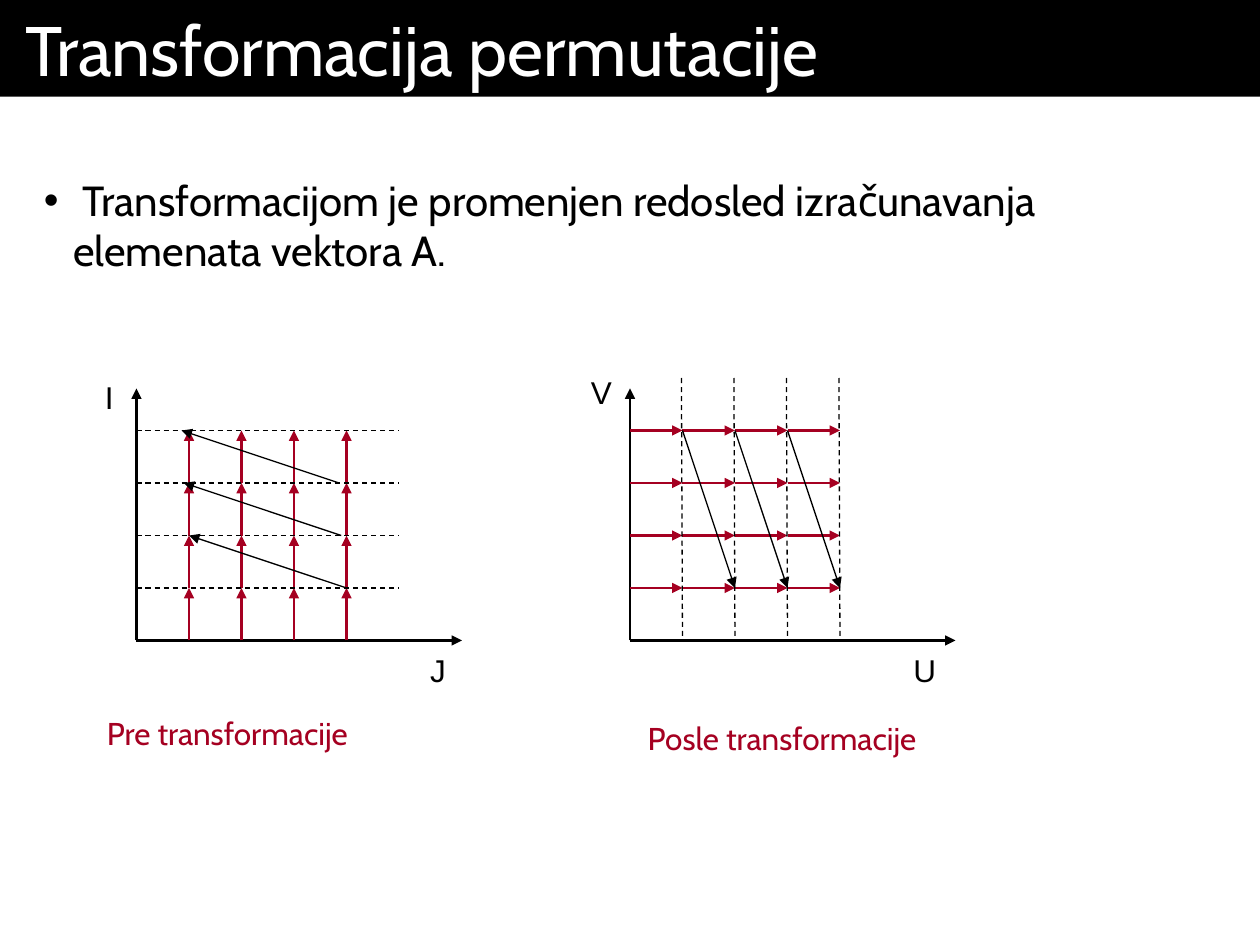
from lxml.etree import SubElement
from pptx import Presentation
from pptx.dml.color import RGBColor as RGB
from pptx.enum.dml import MSO_LINE
from pptx.enum.shapes import MSO_CONNECTOR as CONN, MSO_SHAPE as SHAPE
from pptx.enum.text import MSO_ANCHOR as ANCHOR, MSO_AUTO_SIZE as AUTO, PP_ALIGN as ALIGN
from pptx.oxml.ns import qn
from pptx.util import Emu, Pt

PX = 7620
COLORS = {"black": "000000", "white": "FFFFFF", "red": "A50021"}
STEP, COUNT = 50, 4
BASE = 610


def px(n):
    return Emu(n * PX)


def rgb(name):
    return RGB.from_string(COLORS[name])


class Builder:
    def __init__(self, slide, font="Cabin"):
        self.slide = slide
        self.font = font

    def style_text(self, sp, text, size, color, font=None, anchor=ANCHOR.BOTTOM, wrap=True):
        tf = sp.text_frame
        tf.text = text
        tf.word_wrap = wrap
        tf.auto_size = AUTO.SHAPE_TO_FIT_TEXT
        tf.vertical_anchor = anchor
        p = tf.paragraphs[0]
        p.alignment = ALIGN.LEFT
        f = p.runs[0].font
        f.size, f.name = Pt(size), font or self.font
        f.color.rgb = rgb(color)
        return p

    def title(self, text, x, y, w, h):
        sp = self.slide.shapes.add_shape(SHAPE.RECTANGLE, px(x), px(y), px(w), px(h))
        sp.shadow.inherit = False
        sp.fill.solid()
        sp.fill.fore_color.rgb = rgb("black")
        sp.line.fill.background()
        self.style_text(sp, text, 40, "white", anchor=ANCHOR.TOP)
        sp.text_frame.margin_left = sp.text_frame.margin_right = px(24)

    def text(self, text, x, y, w, h, size=18, color="black", font=None, wrap=False):
        sp = self.slide.shapes.add_textbox(px(x), px(y), px(w), px(h))
        return self.style_text(sp, text, size, color, font, wrap=wrap)

    def bullet(self, text, x, y, w, h, indent):
        p = self.text(text, x, y, w, h, size=24, wrap=True)
        pPr = p._p.get_or_add_pPr()
        pPr.set("marL", str(px(indent)))
        pPr.set("indent", str(-px(indent)))
        SubElement(pPr, qn("a:buFont"), typeface="Arial")
        SubElement(pPr, qn("a:buChar"), char="•")

    def line(self, x1, y1, x2, y2, color="black", width=0.75, dash=False):
        c = self.slide.shapes.add_connector(CONN.STRAIGHT, px(x1), px(y1), px(x2), px(y2))
        c.line.color.rgb = rgb(color)
        c.line.width = Pt(width)
        if dash:
            c.line.dash_style = MSO_LINE.DASH
        SubElement(c._element.spPr, qn("a:effectLst"))
        return c

    def arrow(self, x1, y1, x2, y2, color="black", width=1.5):
        c = self.line(x1, y1, x2, y2, color, width)
        SubElement(c._element.spPr.find(qn("a:ln")), qn("a:tailEnd"), type="triangle")

    def axes(self, x):
        self.arrow(x, BASE, x, 370)
        self.arrow(x, BASE, x + 310, BASE)


def before(b, x):
    b.axes(x)
    for col in range(1, COUNT + 1):
        for row in range(COUNT):
            y = BASE - row * STEP
            b.arrow(x + col * STEP, y, x + col * STEP, y - STEP, "red")
    for row in range(1, COUNT + 1):
        y = BASE - row * STEP
        b.line(x, y, x + 250, y, dash=True)
    for row, shift in enumerate((0, 5, 7), 1):
        y = BASE - row * STEP
        b.arrow(x + COUNT * STEP - shift, y, x + STEP - shift, y - STEP, width=0.75)


def after(b, x):
    b.axes(x)
    for row in range(1, COUNT + 1):
        y = BASE - row * STEP
        for col in range(COUNT):
            b.arrow(x + col * STEP, y, x + (col + 1) * STEP, y, "red")
    for col in range(1, COUNT + 1):
        b.line(x + col * STEP - 1, 360, x + col * STEP, BASE, dash=True)
    for col in range(1, COUNT):
        b.arrow(x + col * STEP, BASE - COUNT * STEP,
                x + (col + 1) * STEP, BASE - STEP, width=0.75)


def main():
    prs = Presentation()
    prs.slide_width, prs.slide_height = px(1200), px(900)
    b = Builder(prs.slides.add_slide(prs.slide_layouts[6]))
    b.title("Transformacija permutacije", 0, 0, 1200, 92)
    b.bullet(" Transformacijom je promenjen redosled izračunavanja elemenata vektora A.",
             30, 160, 1030, 108, 28)
    before(b, 130)
    after(b, 600)
    for name, x, y, w in (("I", 88, 354, 32), ("J", 398, 614, 39),
                          ("V", 551, 349, 43), ("U", 858, 614, 46)):
        b.text(name, x, y, w, 48, font="Arial")
    b.text("Pre transformacije", 90, 674, 293, 48, color="red")
    b.text("Posle transformacije", 605, 679, 320, 48, color="red")
    prs.save("out.pptx")


if __name__ == "__main__":
    main()
